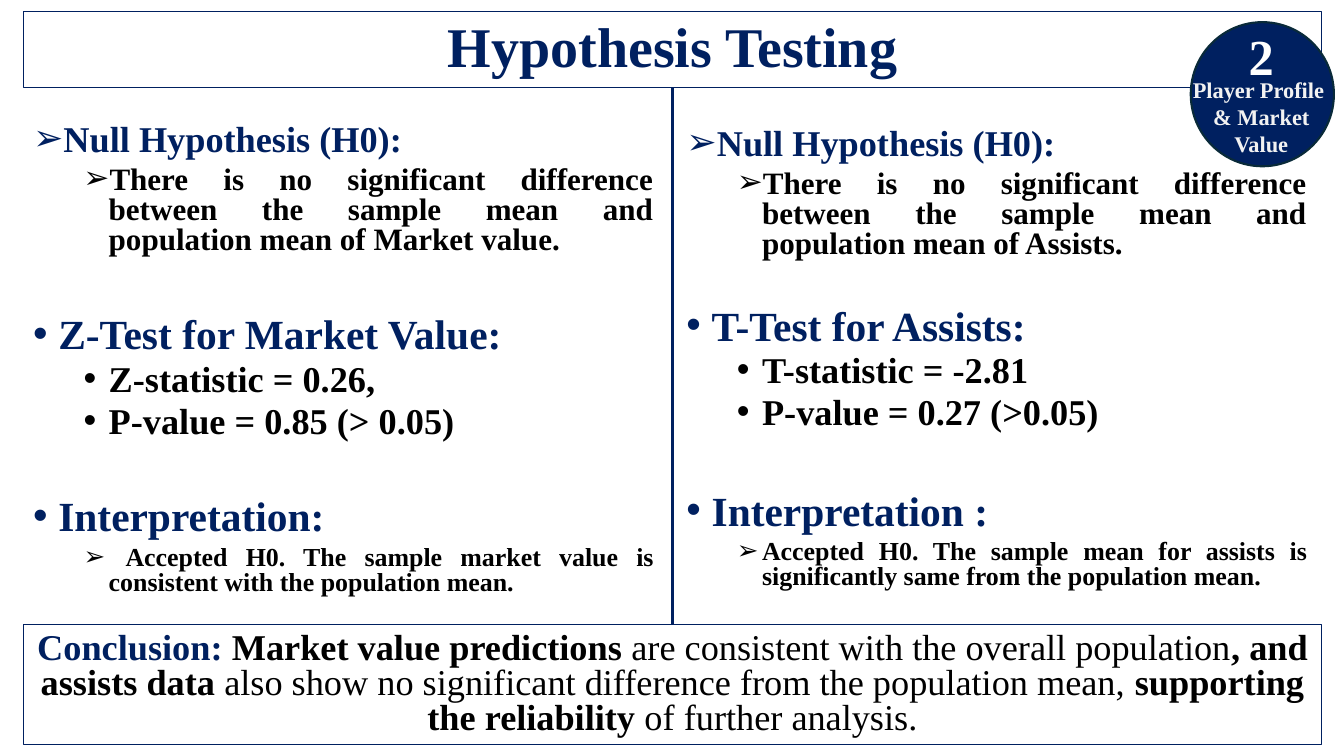
from lxml import etree
from pptx import Presentation
from pptx.dml.color import RGBColor
from pptx.enum.shapes import MSO_CONNECTOR, MSO_SHAPE
from pptx.enum.text import MSO_ANCHOR, MSO_AUTO_SIZE, PP_ALIGN
from pptx.oxml.ns import qn
from pptx.util import Inches, Pt

CENTER, JUSTIFY, LEFT = PP_ALIGN.CENTER, PP_ALIGN.JUSTIFY, PP_ALIGN.LEFT
MIDDLE, TOP = MSO_ANCHOR.MIDDLE, MSO_ANCHOR.TOP
NAVY = RGBColor(0x00, 0x20, 0x60)
DARK_TEAL = RGBColor(0x09, 0x2A, 0x39)
BLACK = RGBColor(0x00, 0x00, 0x00)
WHITE = RGBColor(0xFF, 0xFF, 0xFF)
PALE = RGBColor(0xF2, 0xF2, 0xF2)
FONT = "Times New Roman"
ARROW, DOT = "➢", "•"

TITLE = "Hypothesis Testing"
# Each line: level, bullet, size, space before, text
COLUMNS = [
    [
        (0, ARROW, 25.9, 10, "Null Hypothesis (H0):"),
        (1, ARROW, 22.2, 5, "There is no significant difference between the sample mean "
                            "and population mean of Market value."),
        (0, DOT, 29.6, 44, "Z-Test for Market Value:"),
        (1, DOT, 25.9, 5, "Z-statistic = 0.26,"),
        (1, DOT, 25.9, 5, "P-value = 0.85 (> 0.05)"),
        (0, DOT, 29.6, 42, "Interpretation:"),
        (1, ARROW, 18.5, 5, " Accepted H0. The sample market value is consistent with "
                            "the population mean."),
    ],
    [
        (0, ARROW, 25.9, 10, "Null Hypothesis (H0):"),
        (1, ARROW, 22.2, 5, "There is no significant difference between the sample mean "
                            "and population mean of Assists."),
        (0, DOT, 29.6, 35, "T-Test for Assists:"),
        (1, DOT, 25.9, 5, "T-statistic = -2.81"),
        (1, DOT, 25.9, 5, "P-value = 0.27 (>0.05)"),
        (0, DOT, 29.6, 44, "Interpretation :"),
        (1, ARROW, 18.5, 5, "Accepted H0. The sample mean for assists is significantly "
                            "same from the population mean."),
    ],
]
# Each part: text, colour, bold
CONCLUSION = [
    ("Conclusion: ", NAVY, True),
    ("Market value predictions ", BLACK, True),
    ("are consistent with the overall population", BLACK, False),
    (", and assists data ", BLACK, True),
    ("also show no significant difference from the population mean,", BLACK, False),
    (" supporting the reliability ", BLACK, True),
    ("of further analysis.", BLACK, False),
]
# Each badge text: top, height, size, colour, lines
BADGE = [
    (0.71, 1.0, 16, PALE, ["Player Profile ", "& Market", "Value"]),
    (0.2, 0.67, 36, WHITE, ["2"]),
]

MARGIN, BAND_WIDTH = 0.23, 12.88
COLUMN_TOP, COLUMN_WIDTH, COLUMN_HEIGHT, COLUMN_STEP = 1.19, 6.35, 5.3, 6.48
# The second column sits slightly lower
COLUMN_DROP = 0.04


def style(span, size, color, bold=True):
    span.font.name = FONT
    span.font.size = Pt(size)
    span.font.bold = bold
    span.font.color.rgb = color


def add_text_box(slide, left, top, width, height):
    frame = slide.shapes.add_textbox(
        Inches(left), Inches(top), Inches(width), Inches(height)).text_frame
    frame.word_wrap = True
    frame.vertical_anchor = TOP
    return frame


def add_paragraph(frame, index):
    return frame.add_paragraph() if index else frame.paragraphs[0]


def set_bullet(para, level, mark):
    properties = para._p.get_or_add_pPr()
    properties.set("marL", str(Inches(0.25 + 0.5 * level)))
    properties.set("indent", str(Inches(-0.25)))
    etree.SubElement(properties, qn("a:buFont")).set("typeface", "Arial")
    etree.SubElement(properties, qn("a:buChar")).set("char", mark)


def outline(shape, color, width):
    shape.line.color.rgb = color
    shape.line.width = Pt(width)


def add_title(slide):
    title = slide.shapes.title
    title.left, title.top = Inches(MARGIN), Inches(0.11)
    title.width, title.height = Inches(BAND_WIDTH), Inches(0.76)
    outline(title, NAVY, 0.75)
    frame = title.text_frame
    frame.text = TITLE
    frame.auto_size = MSO_AUTO_SIZE.NONE
    frame.vertical_anchor = MIDDLE
    para = frame.paragraphs[0]
    para.alignment = CENTER
    para.line_spacing = 0.9
    style(para.runs[0], 40, NAVY)
    return title


def add_column(slide, number, lines):
    frame = add_text_box(slide, MARGIN + number * COLUMN_STEP,
                         COLUMN_TOP + number * COLUMN_DROP, COLUMN_WIDTH, COLUMN_HEIGHT)
    for index, (level, mark, size, space, text) in enumerate(lines):
        para = add_paragraph(frame, index)
        para.text = text
        para.level = level
        para.alignment = JUSTIFY if level and mark == ARROW else LEFT
        para.line_spacing = 0.8
        para.space_before = Pt(space)
        set_bullet(para, level, mark)
        style(para.runs[0], size, BLACK if level else NAVY)


def add_conclusion(slide):
    box = slide.shapes.add_shape(MSO_SHAPE.RECTANGLE, Inches(MARGIN), Inches(6.2),
                                 Inches(BAND_WIDTH), Inches(1.19))
    box.shadow.inherit = False
    box.fill.background()
    outline(box, NAVY, 0.75)
    box.text_frame.word_wrap = True
    box.text_frame.vertical_anchor = MIDDLE
    para = box.text_frame.paragraphs[0]
    para.alignment = CENTER
    para.line_spacing = 0.8
    for text, color, bold in CONCLUSION:
        span = para.add_run()
        span.text = text
        style(span, 25.9, color, bold)
    return box


def add_divider(slide, title, conclusion):
    middle = Inches(MARGIN + BAND_WIDTH / 2)
    divider = slide.shapes.add_connector(MSO_CONNECTOR.STRAIGHT, middle,
                                         title.top + title.height, middle, conclusion.top)
    divider.begin_connect(title, 2)
    divider.end_connect(conclusion, 0)
    outline(divider, NAVY, 1.5)
    etree.SubElement(divider._element.spPr, qn("a:effectLst"))


def add_badge(slide):
    circle = slide.shapes.add_shape(MSO_SHAPE.OVAL, Inches(11.81), Inches(0.22),
                                    Inches(1.42), Inches(1.43))
    circle.shadow.inherit = False
    circle.fill.solid()
    circle.fill.fore_color.rgb = NAVY
    outline(circle, DARK_TEAL, 1.5)
    for top, height, size, color, lines in BADGE:
        frame = add_text_box(slide, 11.69, top, 1.64, height)
        for index, text in enumerate(lines):
            para = add_paragraph(frame, index)
            para.text = text
            para.alignment = CENTER
            style(para.runs[0], size, color)


def main():
    deck = Presentation()
    deck.slide_width, deck.slide_height = Inches(13.33), Inches(7.5)
    slide = deck.slides.add_slide(deck.slide_layouts[5])
    title = add_title(slide)
    for number, lines in enumerate(COLUMNS):
        add_column(slide, number, lines)
    conclusion = add_conclusion(slide)
    add_divider(slide, title, conclusion)
    add_badge(slide)
    deck.save("out.pptx")


if __name__ == "__main__":
    main()
